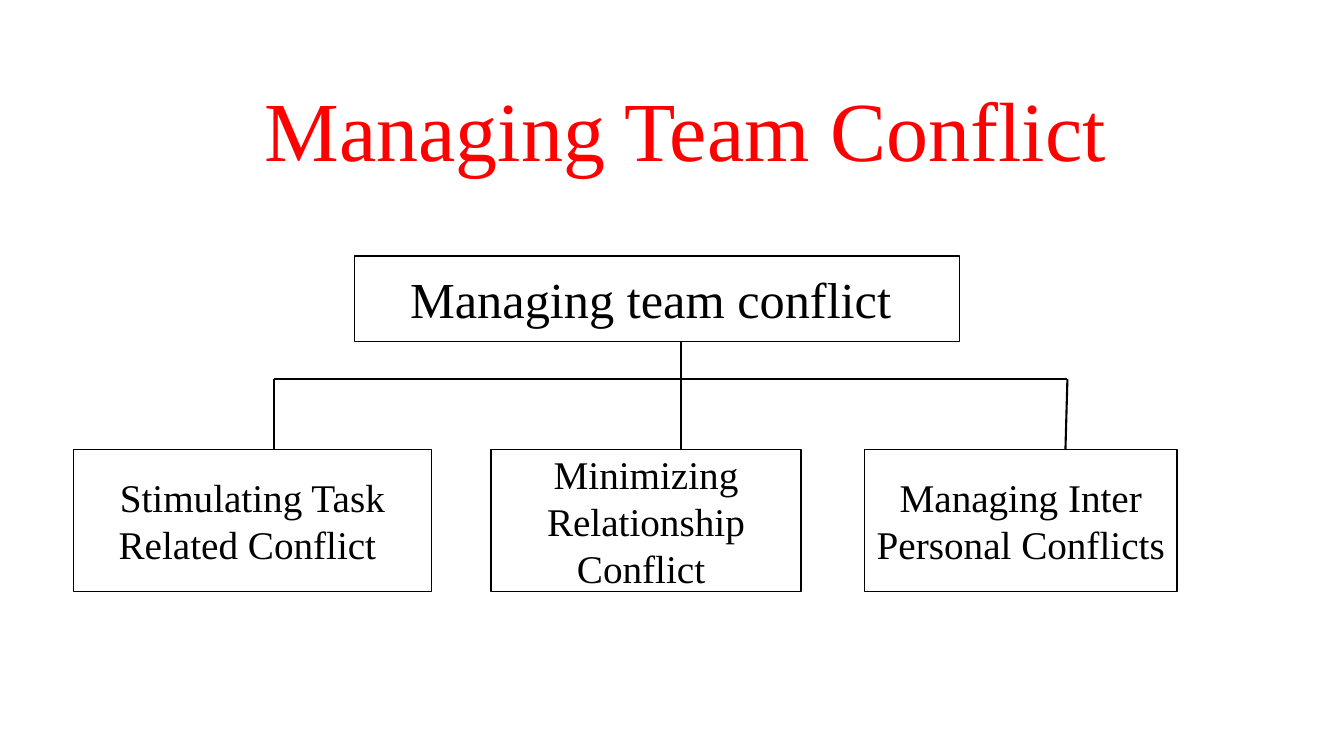
"""Build the team conflict hierarchy slide."""
from pptx import Presentation
from pptx.dml.color import RGBColor
from pptx.enum.shapes import MSO_CONNECTOR as Line, MSO_SHAPE as Preset
from pptx.enum.text import MSO_ANCHOR as Anchor, MSO_AUTO_SIZE as Fit, PP_ALIGN as Align
from pptx.oxml.ns import qn
from pptx.util import Cm, Pt

FONT = "Times New Roman"
BLACK, WHITE, RED = "000000", "FFFFFF", "FF0000"
TITLE = ("Managing Team Conflict", (3.84, 0.61, 26.87, 4.04))
ROOT = ("Managing team conflict ", (8.94, 6.45, 15.24, 2.15))
BRANCH_TOP, BRANCH_HEIGHT, BAR_Y = 11.33, 3.58, 9.55
BRANCHES = [
    {"text": "Stimulating Task Related Conflict ", "left": 1.85, "width": 9.02, "drop": (6.91, 6.91)},
    {"text": "Minimizing Relationship Conflict ", "left": 12.37, "width": 7.82, "drop": (17.17, 17.17)},
    {"text": "Managing Inter Personal Conflicts", "left": 21.79, "width": 7.87, "drop": (26.9, 26.85)},
]


def color(value):
    return RGBColor.from_string(value)


def assign(target, values):
    for name, value in values.items():
        setattr(target, name, value)


def write(shape, text, size, ink, anchor):
    frame = shape.text_frame
    assign(frame, {"word_wrap": True, "auto_size": Fit.NONE, "vertical_anchor": anchor})
    para = frame.paragraphs[0]
    para.alignment = Align.CENTER
    span = para.add_run()
    span.text = text
    assign(span.font, {"name": FONT, "size": Pt(size)})
    span.font.color.rgb = color(ink)
    return para


def add_box(page, text, place, size):
    box = page.shapes.add_shape(Preset.RECTANGLE, *map(Cm, place))
    box.shadow.inherit = False
    box.fill.solid()
    box.fill.fore_color.rgb = color(WHITE)
    box.line.color.rgb = color(BLACK)
    box.line.width = Pt(1)
    write(box, text, size, BLACK, Anchor.MIDDLE)


def add_line(page, *ends):
    line = page.shapes.add_connector(Line.STRAIGHT, *map(Cm, ends))
    line.line.color.rgb = color(BLACK)
    line.line.width = Pt(1.5)
    properties = line._element.spPr
    properties.append(properties.makeelement(qn("a:effectLst"), {}))


def main():
    deck = Presentation()
    assign(deck, {"slide_width": Cm(33.87), "slide_height": Cm(19.05)})
    page = deck.slides.add_slide(deck.slide_layouts[5])

    text, place = TITLE
    title = page.shapes.title
    assign(title, dict(zip(("left", "top", "width", "height"), map(Cm, place))))
    write(title, text, 60, RED, Anchor.BOTTOM).line_spacing = 0.9

    text, place = ROOT
    add_box(page, text, place, 36)
    for branch in BRANCHES:
        place = (branch["left"], BRANCH_TOP, branch["width"], BRANCH_HEIGHT)
        add_box(page, branch["text"], place, 28)

    starts = [branch["drop"][0] for branch in BRANCHES]
    add_line(page, starts[1], ROOT[1][1] + ROOT[1][3], starts[1], BAR_Y)
    add_line(page, starts[0], BAR_Y, starts[-1], BAR_Y)
    for branch in BRANCHES:
        start, end = branch["drop"]
        add_line(page, start, BAR_Y, end, BRANCH_TOP)

    deck.save("out.pptx")


if __name__ == "__main__":
    main()
